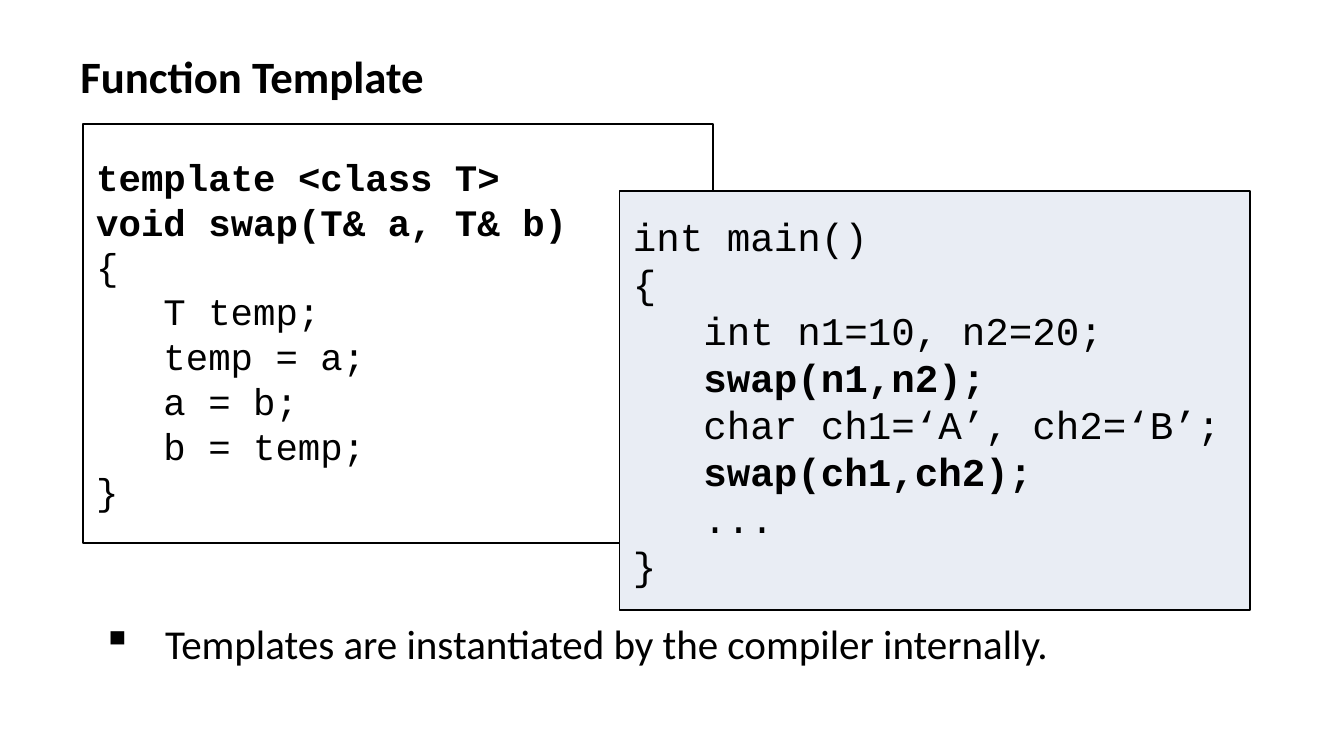
from lxml.etree import SubElement
from pptx import Presentation
from pptx.dml.color import RGBColor
from pptx.enum.shapes import MSO_SHAPE
from pptx.enum.text import MSO_ANCHOR, PP_ALIGN
from pptx.oxml.ns import qn
from pptx.util import Cm, Pt

THEME = {
    "ink": RGBColor(0, 0, 0),
    "paper": RGBColor(255, 255, 255),
    "panel": RGBColor(0xE9, 0xED, 0xF4),
    "text_font": "Calibri",
    "code_font": "Courier New",
    "title_size": 24,
    "note_size": 22,
    "template_size": 20,
    "main_size": 21,
}

TITLE = "Function Template"
NOTE = "Templates are instantiated by the compiler internally."

# Code lines: (indent level, bold, text)
TEMPLATE_CODE = [
    (0, True, "template <class T>"),
    (0, True, "void swap(T& a, T& b)"),
    (0, False, "{"),
    (1, False, "T temp;"),
    (1, False, "temp = a;"),
    (1, False, "a = b;"),
    (1, False, "b = temp;"),
    (0, False, "}"),
]
MAIN_CODE = [
    (0, False, "int main()"),
    (0, False, "{"),
    (1, False, "int n1=10, n2=20;"),
    (1, True, "swap(n1,n2);"),
    (1, False, "char ch1=‘A’, ch2=‘B’;"),
    (1, True, "swap(ch1,ch2);"),
    (1, False, "..."),
    (0, False, "}"),
]

# Code panels: (left, top, fill, type size, code)
PANELS = [
    (1.57, 2.34, "paper", "template_size", TEMPLATE_CODE),
    (11.71, 3.61, "panel", "main_size", MAIN_CODE),
]
PANEL_WIDTH, PANEL_HEIGHT = Cm(11.91), Cm(7.92)
TAB_CHARS = 3
CHAR_WIDTH = 0.6  # monospaced advance, as a share of the type size
LINE_PITCH = 1.2


def write(paragraph, text, font, size, bold=False):
    run = paragraph.add_run()
    run.text = text
    run.font.color.rgb = THEME["ink"]
    style = {"name": THEME[font], "size": Pt(THEME[size]), "bold": bold}
    for attribute, value in style.items():
        setattr(run.font, attribute, value)


def set_indent(paragraph, left, first=0):
    properties = paragraph._p.get_or_add_pPr()
    properties.set("marL", str(int(left)))
    properties.set("indent", str(int(first)))
    return properties


def add_text_frame(slide, left, top, width, height, anchor):
    frame = slide.shapes.add_textbox(
        Cm(left), Cm(top), Cm(width), Cm(height)).text_frame
    frame.word_wrap = True
    frame.vertical_anchor = anchor
    return frame


def add_title(slide):
    frame = add_text_frame(slide, 1.27, 0.43, 22.86, 1.98, MSO_ANCHOR.MIDDLE)
    write(frame.paragraphs[0], TITLE, "text_font", "title_size", bold=True)


def add_note(slide):
    frame = add_text_frame(slide, 1.57, 11.56, 22.6, 2.7, MSO_ANCHOR.TOP)
    note = frame.paragraphs[0]
    note.alignment = PP_ALIGN.JUSTIFY
    properties = set_indent(note, Cm(1.3), Cm(-1.19))
    colour = SubElement(properties, qn("a:buClr"))
    SubElement(colour, qn("a:srgbClr"), val=str(THEME["ink"]))
    SubElement(properties, qn("a:buChar"), char="▪")
    write(note, NOTE, "text_font", "note_size")


def add_panel(slide, left, top, fill, size, code):
    panel = slide.shapes.add_shape(
        MSO_SHAPE.RECTANGLE, Cm(left), Cm(top), PANEL_WIDTH, PANEL_HEIGHT)
    panel.shadow.inherit = False
    panel.fill.solid()
    panel.fill.fore_color.rgb = THEME[fill]
    panel.line.color.rgb = THEME["ink"]
    panel.line.width = Pt(1)

    frame = panel.text_frame
    frame.word_wrap = True
    frame.vertical_anchor = MSO_ANCHOR.MIDDLE
    tab = Pt(THEME[size] * CHAR_WIDTH * TAB_CHARS)
    for number, (level, bold, text) in enumerate(code):
        line = frame.add_paragraph() if number else frame.paragraphs[0]
        line.alignment = PP_ALIGN.LEFT
        line.line_spacing = Pt(THEME[size] * LINE_PITCH)
        set_indent(line, level * tab)
        write(line, text, "code_font", size, bold)


def main():
    presentation = Presentation()
    presentation.slide_width = Cm(25.4)
    presentation.slide_height = Cm(14.29)
    slide = presentation.slides.add_slide(presentation.slide_layouts[6])
    add_title(slide)
    add_note(slide)
    for panel in PANELS:
        add_panel(slide, *panel)
    presentation.save("out.pptx")


if __name__ == "__main__":
    main()
